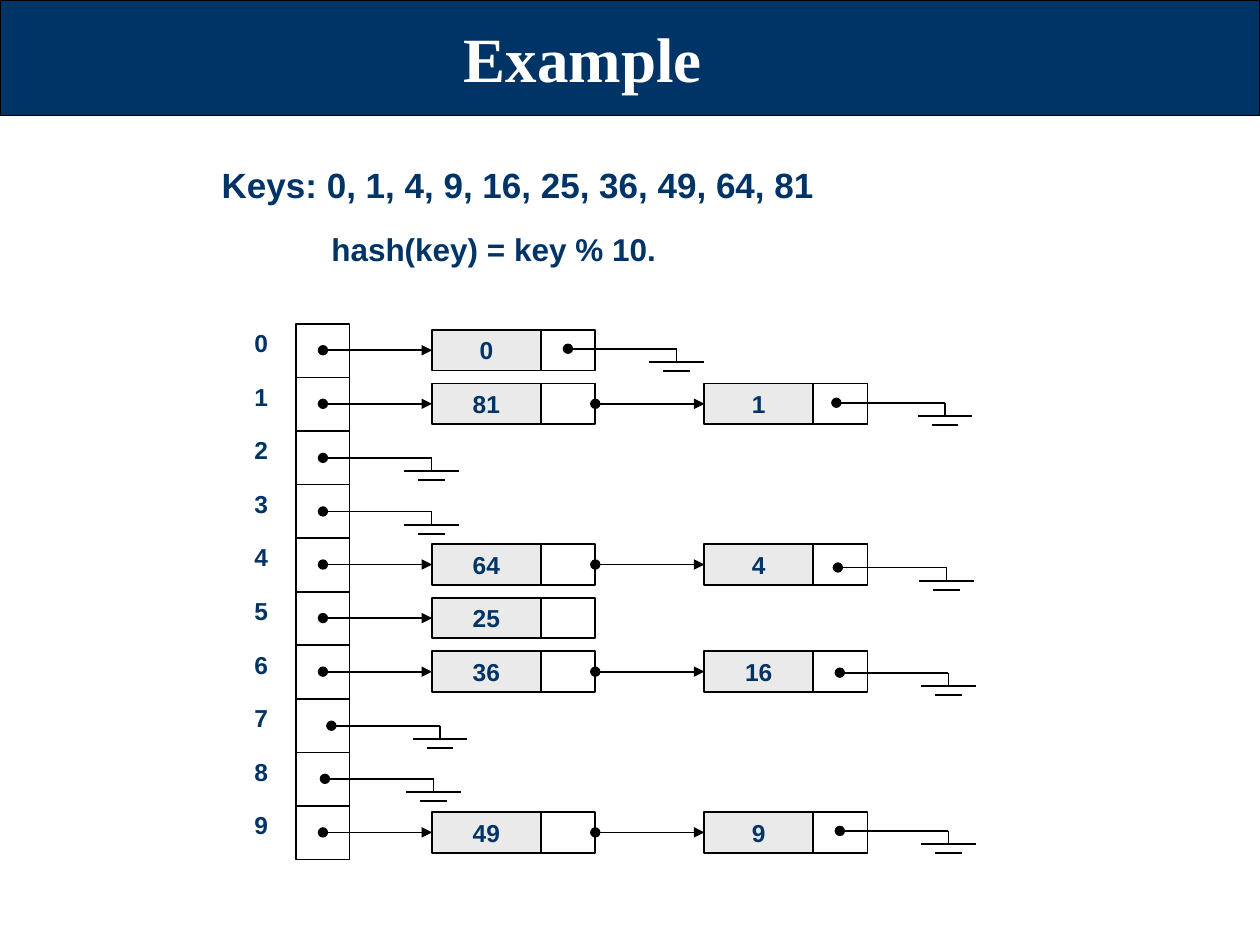
"""Build a slide showing a hash table with separate chaining."""
from dataclasses import dataclass

from pptx import Presentation
from pptx.dml.color import RGBColor
from pptx.enum.shapes import MSO_CONNECTOR, MSO_SHAPE
from pptx.enum.text import MSO_ANCHOR, PP_ALIGN
from pptx.oxml.ns import qn
from pptx.util import Cm, Pt
from lxml import etree

RECTANGLE = MSO_SHAPE.RECTANGLE
STRAIGHT = MSO_CONNECTOR.STRAIGHT
MIDDLE, TOP = MSO_ANCHOR.MIDDLE, MSO_ANCHOR.TOP
CENTER, LEFT = PP_ALIGN.CENTER, PP_ALIGN.LEFT
LEFT_SIDE, RIGHT_SIDE = 1, 3


@dataclass(frozen=True)
class Theme:
    navy: RGBColor = RGBColor(0x00, 0x33, 0x66)
    white: RGBColor = RGBColor(0xFF, 0xFF, 0xFF)
    gray: RGBColor = RGBColor(0xEA, 0xEA, 0xEA)
    black: RGBColor = RGBColor(0x00, 0x00, 0x00)
    title_font: str = "Times New Roman"
    body_font: str = "Arial"
    title_size: int = 36
    keys_size: int = 20
    formula_size: int = 18
    cell_size: int = 14
    band_line: float = 0.75
    line: float = 1


theme = Theme()
deck = Presentation()
deck.slide_width, deck.slide_height = Cm(25.4), Cm(19.05)
page = deck.slides.add_slide(deck.slide_layouts[6])


def draw_box(left, top, width, height, text="", fill=None, line=theme.line, size=theme.cell_size,
             font=theme.body_font, color=theme.navy, align=CENTER, anchor=MIDDLE, wrap=False):
    place = Cm(left), Cm(top), Cm(width), Cm(height)
    if fill is None:
        box = page.shapes.add_textbox(*place)
    else:
        box = page.shapes.add_shape(RECTANGLE, *place)
        box.shadow.inherit = False
        box.fill.solid()
        box.fill.fore_color.rgb = fill
        box.line.color.rgb = theme.black
        box.line.width = Pt(line)
    if text:
        frame = box.text_frame
        frame.word_wrap = wrap
        frame.vertical_anchor = anchor
        para = frame.paragraphs[0]
        para.text = text
        para.alignment = align
        para.font.name = font
        para.font.size = Pt(size)
        para.font.bold = True
        para.font.color.rgb = color
    return box


def draw_line(x1, y1, x2, y2, head=None, tail=None):
    connector = page.shapes.add_connector(STRAIGHT, Cm(x1), Cm(y1), Cm(x2), Cm(y2))
    connector.line.color.rgb = theme.black
    connector.line.width = Pt(theme.line)
    properties = connector.element.spPr
    outline = properties.find(qn("a:ln"))
    for tag, kind in (("a:headEnd", head), ("a:tailEnd", tail)):
        if kind:
            etree.SubElement(outline, qn(tag), type=kind)
    etree.SubElement(properties, qn("a:effectLst"))
    return connector


draw_box(0, 0, 25.4, 2.33, fill=theme.navy, line=theme.band_line)
draw_box(0.64, 0.2, 22.22, 1.9, "Example", size=theme.title_size,
         font=theme.title_font, color=theme.white, wrap=True)
draw_box(4.22, 3.18, 16.1, 1.12, "Keys: 0, 1, 4, 9, 16, 25, 36, 49, 64, 81",
         size=theme.keys_size, align=LEFT, anchor=TOP, wrap=True)
draw_box(6.43, 4.52, 7.21, 1.02, "hash(key) = key % 10.",
         size=theme.formula_size, align=LEFT, anchor=TOP)

slot_left, slot_top, slot_size = 5.97, 6.53, 1.08
node_left, node_pitch, node_offset, node_height = 8.71, 5.49, 0.12, 0.82
key_width, pointer_width = 2.19, 1.1
chains = [["0"], ["81", "1"], [], [], ["64", "4"], ["25"], ["36", "16"], [], [], ["49", "9"]]

for index, chain in enumerate(chains):
    top = slot_top + index * slot_size
    draw_box(4.88, top - 0.04, 0.79, 0.86, str(index), align=LEFT, anchor=TOP)
    draw_box(slot_left, top, slot_size, slot_size, fill=theme.white)
    node_top = top + node_offset
    middle = node_top + node_height / 2
    pointer = None
    for step, key in enumerate(chain):
        left = node_left + step * node_pitch
        key_cell = draw_box(left, node_top, key_width, node_height, key, fill=theme.gray)
        start = slot_left + slot_size / 2 if pointer is None else left - node_pitch + key_width + pointer_width
        arrow = draw_line(start, middle, left, middle, "oval", "triangle")
        if pointer is not None:
            arrow.begin_connect(pointer, RIGHT_SIDE)
        arrow.end_connect(key_cell, LEFT_SIDE)
        pointer = draw_box(left + key_width, node_top, pointer_width, node_height, fill=theme.white)

ground_starts = [(11.45, 7.03), (16.86, 8.12), (6.51, 9.23), (6.51, 10.31), (16.89, 11.44),
                 (16.93, 13.56), (6.68, 14.63), (6.55, 15.7), (16.93, 16.75)]
lead, stem, gap, wide, narrow = 2.19, 0.27, 0.18, 0.55, 0.27

for x, y in ground_starts:
    end, bar = x + lead, y + stem
    draw_line(x, y, end, y, head="oval")
    draw_line(end, y, end, bar)
    draw_line(end - wide, bar, end + wide, bar)
    draw_line(end - narrow, bar + gap, end + narrow, bar + gap)

deck.save("out.pptx")
